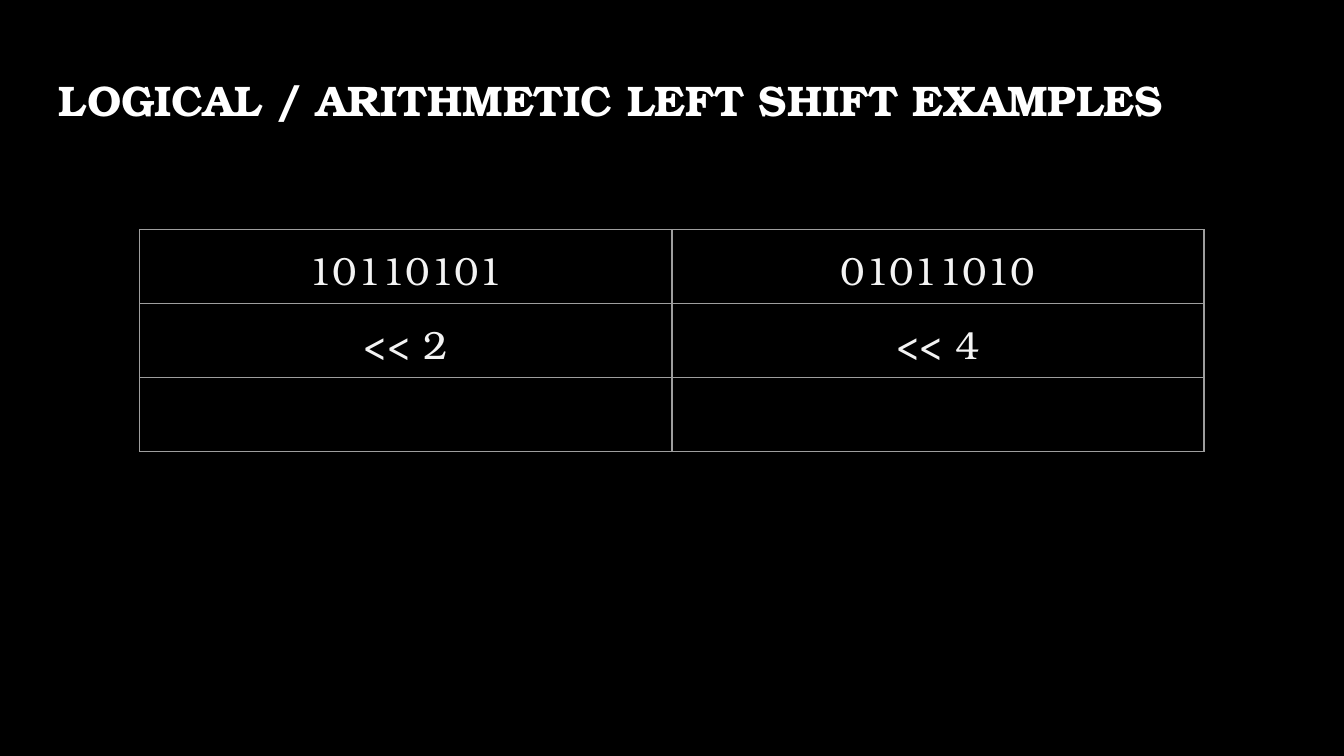
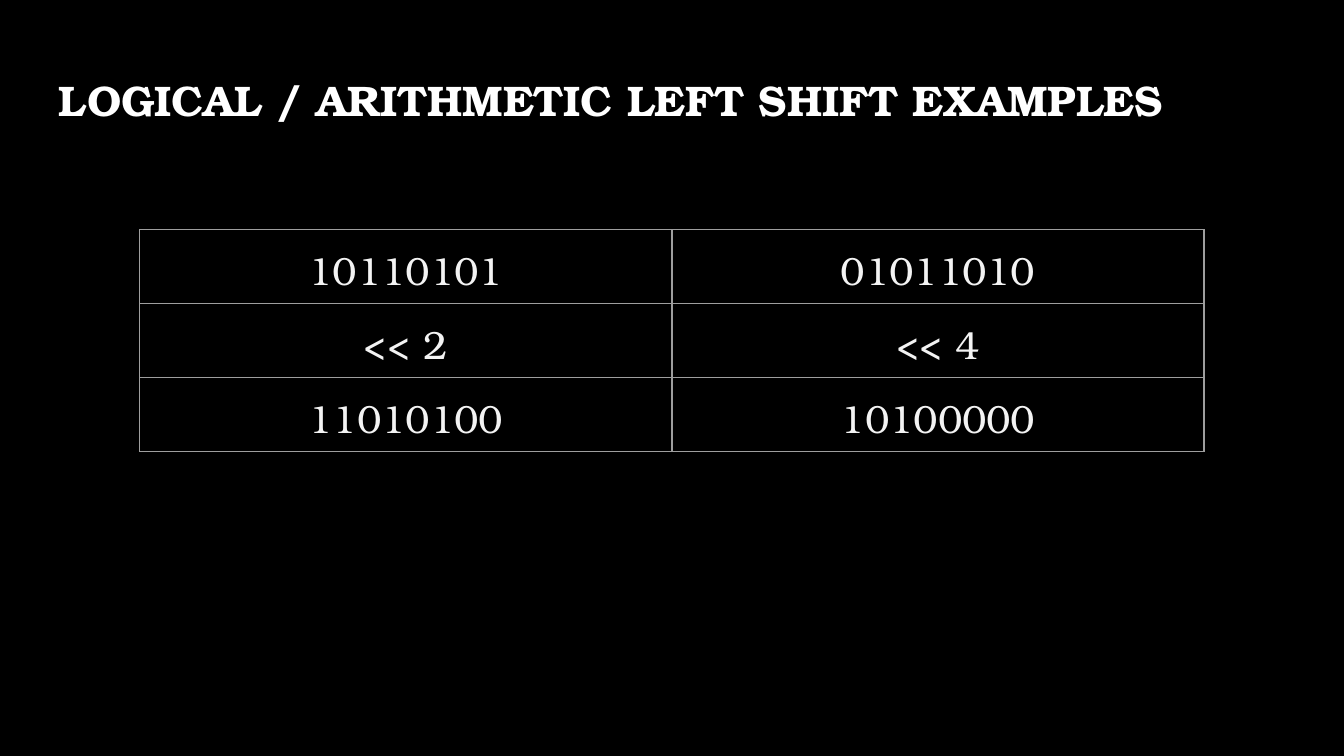
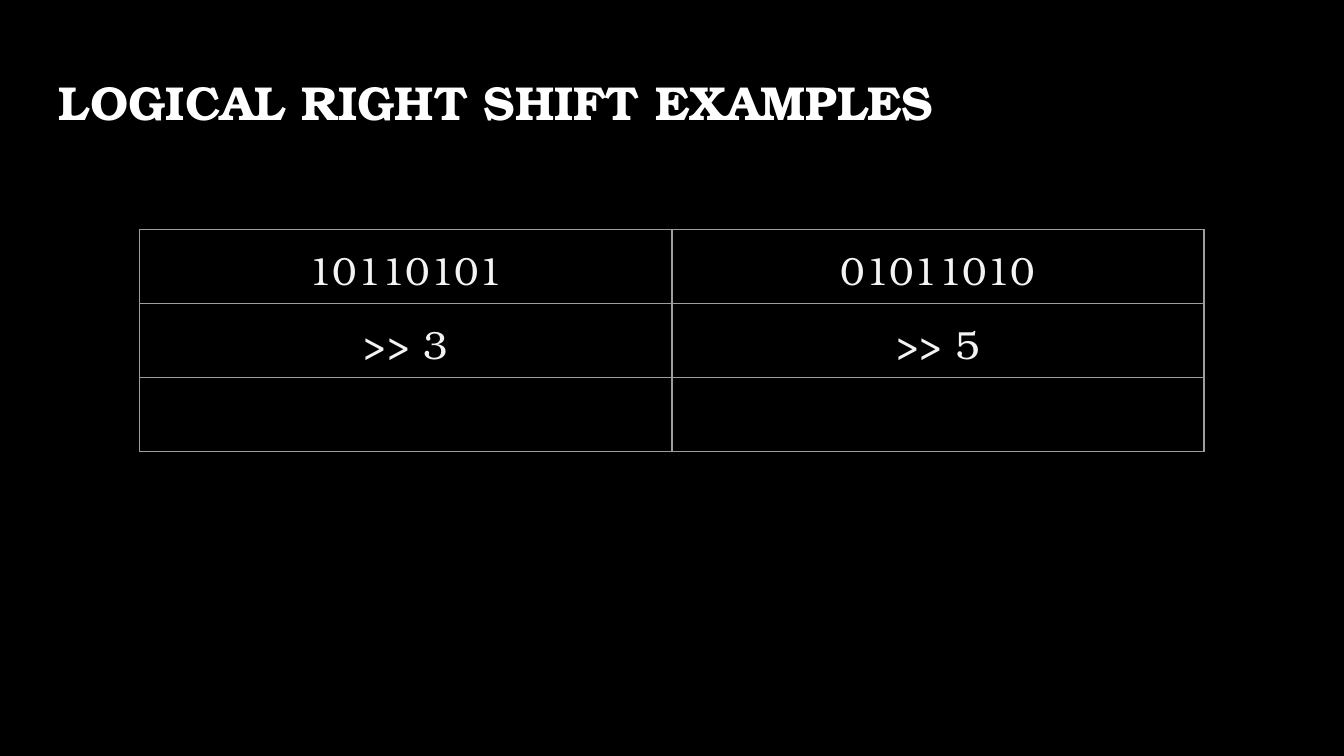
from lxml.etree import SubElement
from pptx import Presentation
from pptx.dml.color import RGBColor
from pptx.enum.text import MSO_ANCHOR, PP_ALIGN
from pptx.oxml.ns import qn
from pptx.util import Pt

COLORS = {"bg": "000000", "title": "FFFFFF", "cell": "F3F3F3", "border": "9E9E9E"}
FONT = "TeX Gyre Bonum"
INSET = Pt(7.2)
BORDER = Pt(0.75)
TITLE_BOX = (24.5, 35.3, 671, 45.4)
TABLE_BOX = (74.9, 123.1, 570.2, 118.8)
LEFT_TITLE = "LOGICAL / ARITHMETIC LEFT SHIFT EXAMPLES"
RIGHT_TITLE = "LOGICAL RIGHT SHIFT EXAMPLES"
OPERANDS = ("10110101", "01011010")
EMPTY = ("", "")
SLIDES = [
    (LEFT_TITLE, 22.9, (OPERANDS, ("<< 2", "<< 4"), EMPTY)),
    (LEFT_TITLE, 22.9, (OPERANDS, ("<< 2", "<< 4"), ("11010100", "10100000"))),
    (RIGHT_TITLE, 25.5, (OPERANDS, (">> 3", ">> 5"), EMPTY)),
]


def put_text(tf, text, size, color, bold=None, align=None, spacing=None):
    """Write one formatted paragraph into a text frame."""
    p = tf.paragraphs[0]
    p.alignment = align
    p.line_spacing = spacing
    if not text:
        end = SubElement(p._p, qn("a:endParaRPr"), sz=str(round(size * 100)))
        SubElement(end, qn("a:latin"), typeface=FONT)
        return
    r = p.add_run()
    r.text = text
    r.font.name = FONT
    r.font.size = Pt(size)
    r.font.bold = bold
    r.font.color.rgb = RGBColor.from_string(COLORS[color])


def set_insets(box):
    """Give a cell or text frame the same inset on every side."""
    box.margin_left = box.margin_right = box.margin_top = box.margin_bottom = INSET


def add_title(s, box, text, size):
    """Add the slide heading in its box."""
    tf = s.shapes.add_textbox(*map(Pt, box)).text_frame
    tf.word_wrap = True
    tf.vertical_anchor = MSO_ANCHOR.TOP
    set_insets(tf)
    put_text(tf, text, size, "title", bold=True, spacing=0.9)


def style_cell(cell):
    """Outline a cell and leave it unfilled."""
    tcPr = cell._tc.get_or_add_tcPr()
    for side in ("lnL", "lnR", "lnT", "lnB"):
        ln = SubElement(tcPr, qn(f"a:{side}"), w=str(BORDER))
        fill = SubElement(ln, qn("a:solidFill"))
        SubElement(fill, qn("a:srgbClr"), val=COLORS["border"])
    cell.fill.background()
    set_insets(cell)


def add_shift_table(s, box, rows):
    """Add the grid of operands, shifts and results in its box."""
    table = s.shapes.add_table(len(rows), len(rows[0]), *map(Pt, box)).table
    table.first_row = table.horz_banding = False
    for i, row in enumerate(rows):
        for j, text in enumerate(row):
            cell = table.cell(i, j)
            style_cell(cell)
            put_text(cell.text_frame, text, 21, "cell", align=PP_ALIGN.CENTER)


def add_slide(prs, title, size, rows):
    """Add one example slide with its heading and table."""
    s = prs.slides.add_slide(prs.slide_layouts[6])
    s.background.fill.solid()
    s.background.fill.fore_color.rgb = RGBColor.from_string(COLORS["bg"])
    add_title(s, TITLE_BOX, title, size)
    add_shift_table(s, TABLE_BOX, rows)


def main():
    """Build and save the presentation."""
    prs = Presentation()
    prs.slide_width, prs.slide_height = Pt(720), Pt(405)
    for title, size, rows in SLIDES:
        add_slide(prs, title, size, rows)
    prs.save("out.pptx")


if __name__ == "__main__":
    main()
